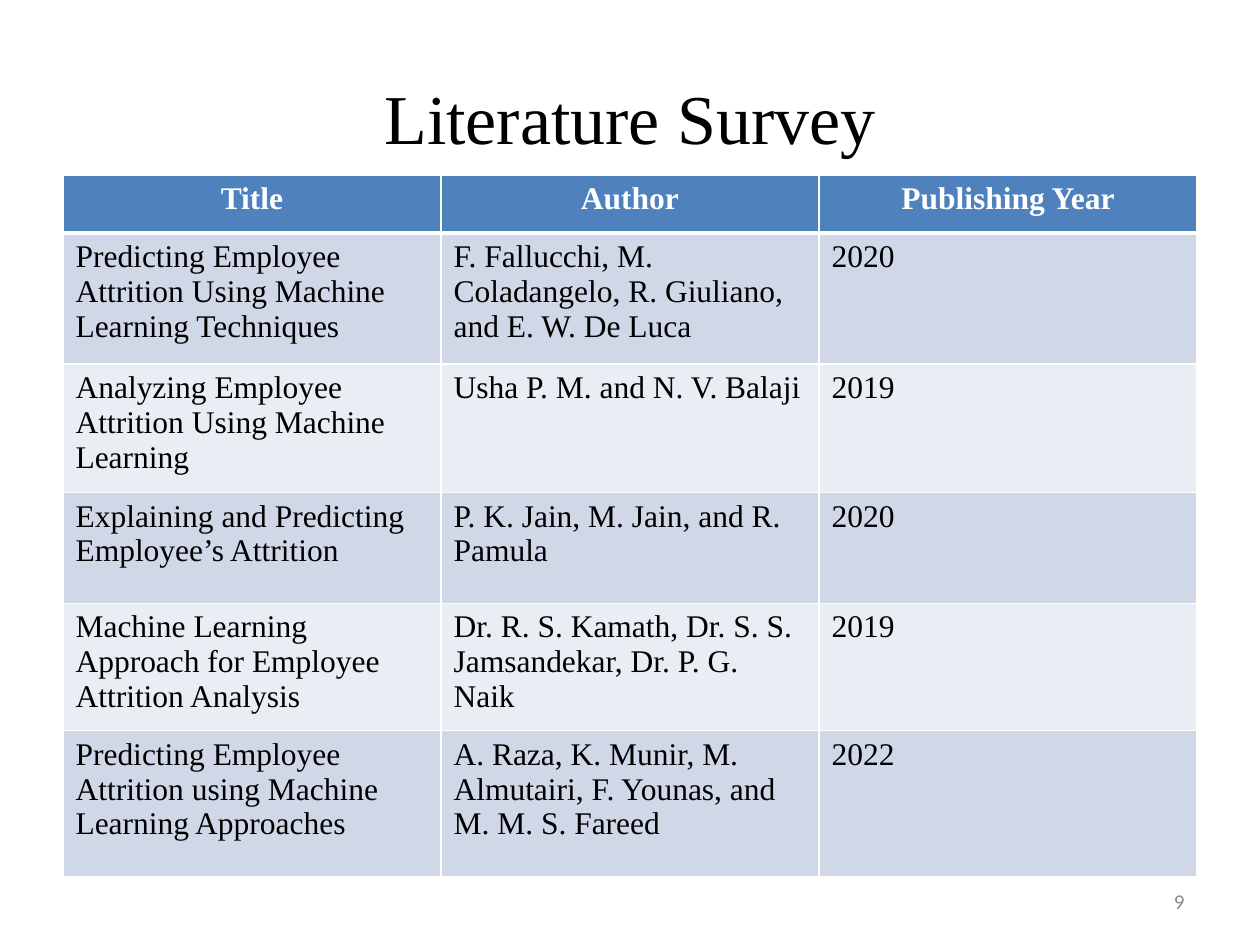
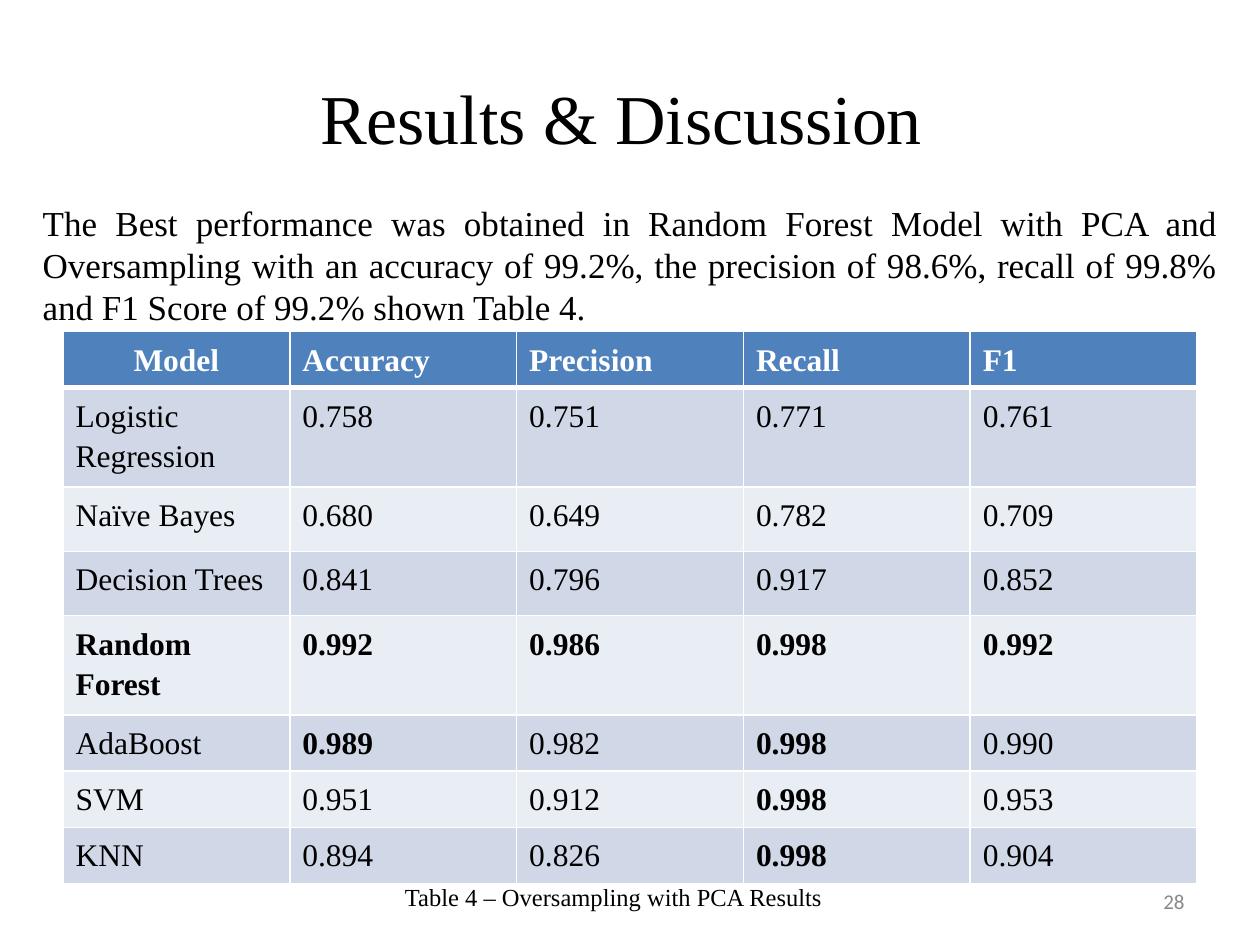
from dataclasses import dataclass

from lxml.etree import SubElement
from pptx import Presentation
from pptx.dml.color import RGBColor
from pptx.enum.text import MSO_ANCHOR, PP_ALIGN
from pptx.oxml.ns import qn
from pptx.util import Inches, Pt


@dataclass(frozen=True)
class Theme:
    text: str = "000000"
    header_text: str = "FFFFFF"
    header_fill: str = "4F81BD"
    odd_row: str = "D0D8E8"
    even_row: str = "E9EDF4"
    border: str = "FFFFFF"
    muted: str = "898989"
    font: str = "Times New Roman"
    number_font: str = "Calibri"
    title_size: int = 40
    body_size: int = 20
    table_size: int = 18
    caption_size: int = 14
    number_size: int = 12
    thin: int = 1
    thick: int = 3


LITERATURE = [
    ("Title", "Author", "Publishing Year"),
    ("Predicting Employee Attrition Using Machine Learning Techniques",
     "F. Fallucchi, M. Coladangelo, R. Giuliano, and E. W. De Luca", "2020"),
    ("Analyzing Employee Attrition Using Machine Learning",
     "Usha P. M. and N. V. Balaji", "2019"),
    ("Explaining and Predicting Employee’s Attrition",
     "P. K. Jain, M. Jain, and R. Pamula", "2020"),
    ("Machine Learning Approach for Employee Attrition Analysis",
     "Dr. R. S. Kamath, Dr. S. S. Jamsandekar, Dr. P. G. Naik", "2019"),
    ("Predicting Employee Attrition using Machine Learning Approaches",
     "A. Raza, K. Munir, M. Almutairi, F. Younas, and M. M. S. Fareed", "2022"),
]
LITERATURE_HEIGHTS = [0.46, 1.04, 1.02, 0.88, 1.01, 1.16]

MODEL_SCORES = [
    ("Model", "Accuracy", "Precision", "Recall ", "F1"),
    ("Logistic Regression", "0.758", "0.751", "0.771", "0.761"),
    ("Naïve Bayes", "0.680", "0.649", "0.782", "0.709"),
    ("Decision Trees", "0.841", "0.796", "0.917", "0.852"),
    ("Random Forest", "0.992", "0.986", "0.998", "0.992"),
    ("AdaBoost", "0.989", "0.982", "0.998", "0.990"),
    ("SVM", "0.951", "0.912", "0.998", "0.953"),
    ("KNN", "0.894", "0.826", "0.998", "0.904"),
]
MODEL_HEIGHTS = [0.4, 0.73, 0.51, 0.51, 0.73, 0.4, 0.4, 0.4]
BEST_SCORES = {"Random Forest", "0.992", "0.986", "0.998", "0.989"}


class SlideBuilder:
    def __init__(self, deck, theme):
        self.deck = deck
        self.theme = theme
        self.page = None

    def start_page(self, title, number):
        """Add a blank page with the shared title and page number."""
        theme = self.theme
        self.page = self.deck.slides.add_slide(self.deck.slide_layouts[6])
        self.text(title, 0.5, 0.3, 9, 1.25, theme.title_size,
                  PP_ALIGN.CENTER, anchor=MSO_ANCHOR.MIDDLE)
        self.text(number, 7.17, 6.95, 2.33, 0.4, theme.number_size,
                  PP_ALIGN.RIGHT, color=theme.muted, font=theme.number_font,
                  anchor=MSO_ANCHOR.MIDDLE)

    def span(self, para, words, size, color, font=None, bold=False):
        span = para.add_run()
        span.text = words
        span.font.name = font or self.theme.font
        span.font.size = Pt(size)
        span.font.bold = bold
        span.font.color.rgb = RGBColor.from_string(color)

    def text(self, words, left, top, width, height, size, align,
             color=None, font=None, anchor=MSO_ANCHOR.TOP):
        box = self.page.shapes.add_textbox(
            Inches(left), Inches(top), Inches(width), Inches(height))
        frame = box.text_frame
        frame.word_wrap = True
        frame.vertical_anchor = anchor
        para = frame.paragraphs[0]
        para.alignment = align
        self.span(para, words, size, color or self.theme.text, font)
        return para

    def border(self, cell, side, width):
        """Draw one cell edge; side is L, R, T or B."""
        line = SubElement(cell._tc.get_or_add_tcPr(), qn(f"a:ln{side}"),
                          w=str(Pt(width)))
        fill = SubElement(line, qn("a:solidFill"))
        SubElement(fill, qn("a:srgbClr"), val=self.theme.border)

    def table(self, rows, heights, top, header_aligns, body_align=None,
              line_spacing=None, space_after=None, bold_words=()):
        theme = self.theme
        left, width = 0.5, 9
        columns = len(rows[0])
        table = self.page.shapes.add_table(
            len(rows), columns, Inches(left), Inches(top),
            Inches(width), Inches(sum(heights))).table
        for column in table.columns:
            column.width = Inches(width / columns)
        for row_index, (words_in_row, height) in enumerate(zip(rows, heights)):
            table.rows[row_index].height = Inches(height)
            is_header = row_index == 0
            if is_header:
                fill, color = theme.header_fill, theme.header_text
            else:
                fill = theme.odd_row if row_index % 2 else theme.even_row
                color = theme.text
            edges = {"L": theme.thin, "R": theme.thin,
                     "T": theme.thick if row_index == 1 else theme.thin,
                     "B": theme.thick if is_header else theme.thin}
            for column_index, words in enumerate(words_in_row):
                cell = table.cell(row_index, column_index)
                for side, weight in edges.items():
                    self.border(cell, side, weight)
                cell.fill.solid()
                cell.fill.fore_color.rgb = RGBColor.from_string(fill)
                para = cell.text_frame.paragraphs[0]
                para.alignment = (header_aligns[column_index] if is_header
                                  else body_align)
                para.line_spacing = line_spacing
                para.space_after = space_after
                self.span(para, words, theme.table_size, color,
                          bold=is_header or words in bold_words)


def literature_survey(builder):
    builder.start_page("Literature Survey", "9")
    builder.table(LITERATURE, LITERATURE_HEIGHTS, 1.39, [PP_ALIGN.CENTER] * 3)


def results_and_discussion(builder):
    theme = builder.theme
    builder.start_page("Results & Discussion ", "28")
    builder.table(MODEL_SCORES, MODEL_HEIGHTS, 2.63,
                  [PP_ALIGN.CENTER] + [PP_ALIGN.JUSTIFY] * 4,
                  PP_ALIGN.JUSTIFY, 1.15, Pt(10), BEST_SCORES)
    summary = builder.text(
        "The Best performance was obtained in Random Forest Model with PCA "
        "and Oversampling with an accuracy of 99.2%, the precision of 98.6%, "
        "recall of 99.8% and F1 Score of 99.2% shown Table 4.",
        0.24, 1.55, 9.52, 1.11, theme.body_size, PP_ALIGN.JUSTIFY)
    summary.space_after = Pt(10)
    builder.text("Table 4 – Oversampling with PCA Results",
                 0.24, 6.95, 9.26, 0.34, theme.caption_size, PP_ALIGN.CENTER)


def main():
    deck = Presentation()
    deck.slide_width = Inches(10)
    deck.slide_height = Inches(7.5)
    builder = SlideBuilder(deck, Theme())
    literature_survey(builder)
    results_and_discussion(builder)
    deck.save("out.pptx")


if __name__ == "__main__":
    main()
